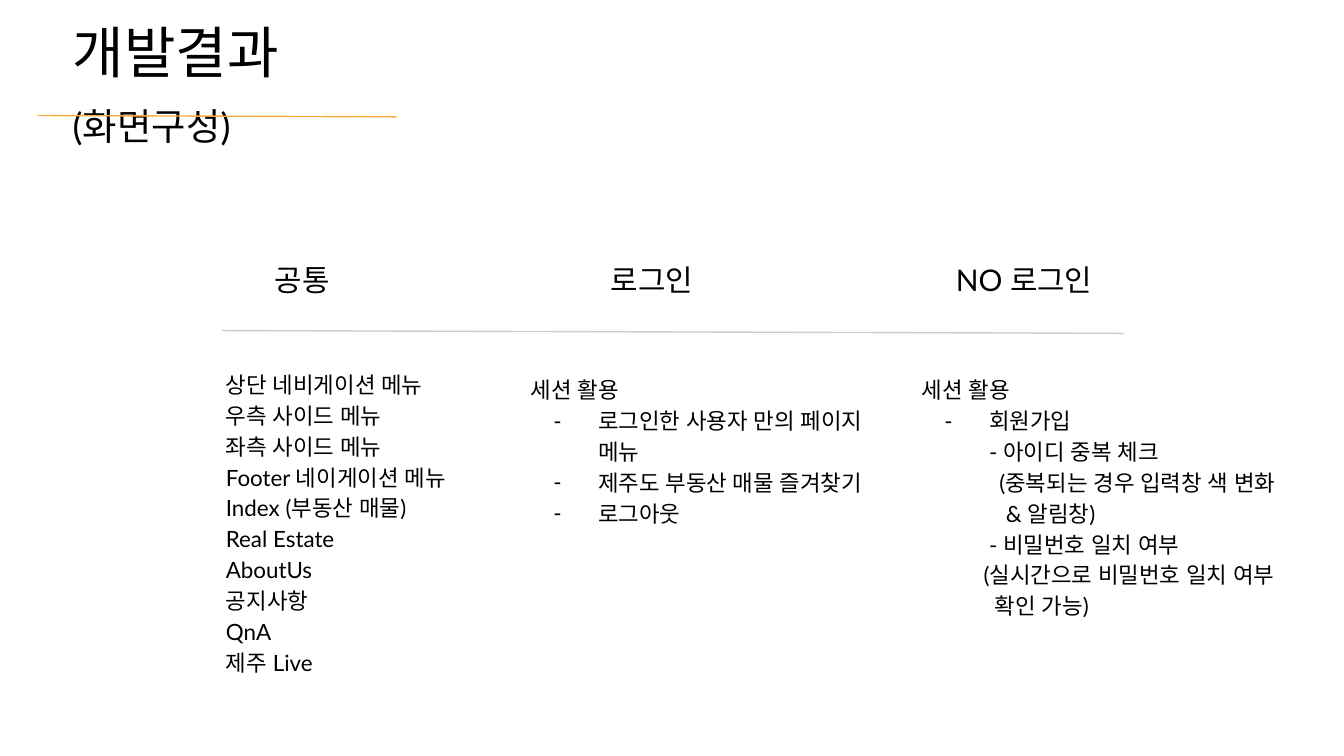
from dataclasses import dataclass

from lxml import etree
from pptx import Presentation
from pptx.dml.color import RGBColor
from pptx.enum.shapes import MSO_CONNECTOR
from pptx.enum.text import MSO_ANCHOR, MSO_AUTO_SIZE, PP_ALIGN
from pptx.oxml.ns import qn
from pptx.util import Pt

BLACK = RGBColor(0x00, 0x00, 0x00)
GRAY = RGBColor(0xCC, 0xCC, 0xCC)
ORANGE = RGBColor(0xFF, 0xAB, 0x40)
FONT = "Lato"
INSET = 7.2
INDENT, HANG = 36, 24
STRAIGHT = MSO_CONNECTOR.STRAIGHT
LEFT, CENTER = PP_ALIGN.LEFT, PP_ALIGN.CENTER
TOP, MIDDLE = MSO_ANCHOR.TOP, MSO_ANCHOR.MIDDLE
NO_AUTOFIT = MSO_AUTO_SIZE.NONE


@dataclass
class Box:
    left: float
    top: float
    width: float
    height: float


@dataclass
class Item:
    text: str
    indent: float = 0
    dash: bool = False


@dataclass
class Column:
    heading: str
    heading_left: float
    idx: int  # placeholder that holds the list
    box: Box
    items: list[Item]


COLUMNS = [
    Column("공통", 84.2, 1, Box(113.8, 189.4, 181.4, 77), [
        Item(text) for text in (
            "상단 네비게이션 메뉴", "우측 사이드 메뉴", "좌측 사이드 메뉴",
            "Footer 네이게이션 메뉴", "Index (부동산 매물)", "Real Estate",
            "AboutUs", "공지사항", "QnA", "제주 Live")
    ]),
    Column("로그인", 271.4, 2, Box(277.2, 192.2, 192.2, 150.5), [
        Item("세션 활용"),
        Item("로그인한 사용자 만의 페이지 메뉴", INDENT, True),
        Item("제주도 부동산 매물 즐겨찾기", INDENT, True),
        Item("로그아웃", INDENT, True),
    ]),
    Column("NO 로그인", 470.9, 4, Box(486.7, 192.2, 345.6, 150.5), [
        Item("세션 활용"),
        Item("회원가입", INDENT, True),
        Item("- 아이디 중복 체크", INDENT),
        Item("(중복되는 경우 입력창 색 변화", 41.5),
        Item("& 알림창)", 45),
        Item("- 비밀번호 일치 여부", INDENT),
        Item("(실시간으로 비밀번호 일치 여부", 33),
        Item("확인 가능)", 39),
    ]),
]


def set_frame(shape, box: Box, anchor=TOP):
    """Place a text shape and return its prepared text frame."""
    shape.left, shape.top = Pt(box.left), Pt(box.top)
    shape.width, shape.height = Pt(box.width), Pt(box.height)
    tf = shape.text_frame
    tf.word_wrap = True
    tf.auto_size = NO_AUTOFIT
    tf.vertical_anchor = anchor
    tf.margin_left = tf.margin_right = Pt(INSET)
    tf.margin_top = tf.margin_bottom = Pt(INSET)
    return tf


def format_run(r, size: float) -> None:
    r.font.name = FONT
    r.font.size = Pt(size)
    r.font.bold = False
    r.font.color.rgb = BLACK
    etree.SubElement(r.font._element, qn("a:ea"), typeface=FONT)


def set_bullet(p, item: Item) -> None:
    pPr = p._p.get_or_add_pPr()
    pPr.set("marL", str(Pt(item.indent)))
    pPr.set("indent", str(Pt(-HANG if item.dash else 0)))
    if item.dash:
        color = etree.SubElement(pPr, qn("a:buClr"))
        etree.SubElement(color, qn("a:srgbClr"), val=str(BLACK))
        etree.SubElement(pPr, qn("a:buFont"), typeface=FONT)
        etree.SubElement(pPr, qn("a:buChar"), char="-")
    else:
        etree.SubElement(pPr, qn("a:buNone"))


def add_line(s, start: tuple[float, float], end: tuple[float, float],
             color: RGBColor) -> None:
    line = s.shapes.add_connector(
        STRAIGHT, Pt(start[0]), Pt(start[1]), Pt(end[0]), Pt(end[1]))
    line.line.color.rgb = color
    line.line.width = Pt(0.75)
    etree.SubElement(line._element.spPr, qn("a:effectLst"))


def add_title(s) -> None:
    tf = set_frame(s.shapes.title, Box(31.7, 25.2, 203, 40.3), MIDDLE)
    p = tf.paragraphs[0]
    p.alignment = LEFT
    for text, size in (("개발결과 ", 30), ("(화면구성)", 20), (" ", 30)):
        r = p.add_run()
        r.text = text
        format_run(r, size)


def add_column(s, column: Column) -> None:
    # Heading
    box = Box(column.heading_left, 133.2, 155.5, 30.2)
    tf = set_frame(s.shapes.add_textbox(0, 0, 0, 0), box)
    tf.text = column.heading
    p = tf.paragraphs[0]
    p.alignment = CENTER
    format_run(p.runs[0], 16)

    # List
    tf = set_frame(s.placeholders[column.idx], column.box)
    tf.text = "\n".join(item.text for item in column.items)
    for p, item in zip(tf.paragraphs, column.items):
        p.alignment = LEFT
        p.line_spacing = 1.15
        p.space_before = p.space_after = Pt(0)
        set_bullet(p, item)
        format_run(p.runs[0], 12)


def main() -> None:
    prs = Presentation()
    prs.slide_width, prs.slide_height = Pt(720), Pt(405)
    s = prs.slides.add_slide(prs.slide_layouts.get_by_name("Comparison"))

    # Title and its rule
    add_title(s)
    add_line(s, (20.2, 61.9), (212.4, 62.6), ORANGE)

    # Columns and the rule under their headings
    add_line(s, (118.8, 177.1), (601.9, 178.6), GRAY)
    for column in COLUMNS:
        add_column(s, column)

    # Unused placeholder
    unused = s.placeholders[3]._element
    unused.getparent().remove(unused)

    prs.save("out.pptx")


if __name__ == "__main__":
    main()
